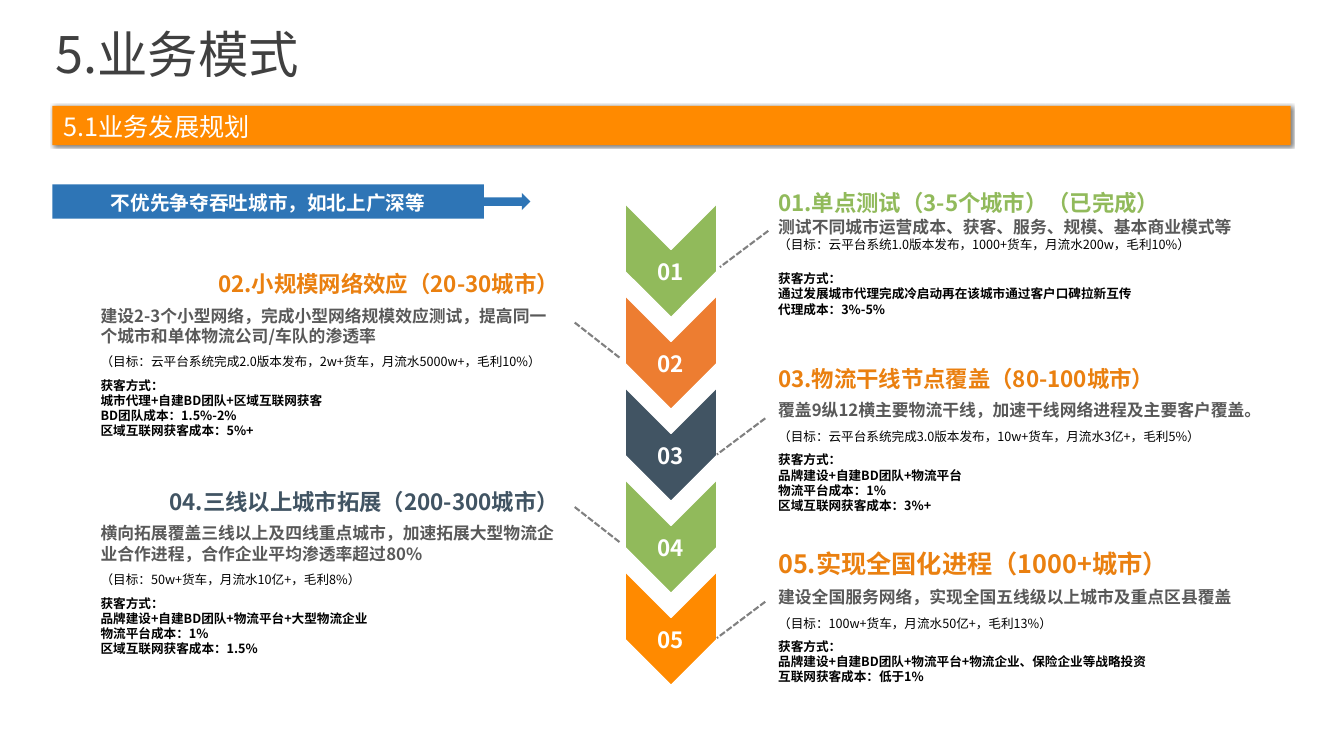
from dataclasses import dataclass

import pptx
import pptx.dml.color
import pptx.enum.dml
import pptx.enum.shapes
import pptx.enum.text
import pptx.oxml
import pptx.oxml.ns
import pptx.util
from lxml import etree

Inches = pptx.util.Inches
Pt = pptx.util.Pt
RGBColor = pptx.dml.color.RGBColor
Align = pptx.enum.text.PP_ALIGN
Preset = pptx.enum.shapes.MSO_SHAPE
qn = pptx.oxml.ns.qn

FONT = "Noto Sans CJK SC"
WHITE = RGBColor(0xFF, 0xFF, 0xFF)
BLACK = RGBColor(0x00, 0x00, 0x00)
CHARCOAL = RGBColor(0x40, 0x40, 0x40)
DARK_GRAY = RGBColor(0x59, 0x59, 0x59)
LINE_GRAY = RGBColor(0x80, 0x80, 0x80)
ORANGE = RGBColor(0xFF, 0x8A, 0x00)
AMBER = RGBColor(0xEA, 0x80, 0x10)
RUST = RGBColor(0xED, 0x7D, 0x31)
GREEN = RGBColor(0x91, 0xBA, 0x5B)
SLATE = RGBColor(0x41, 0x54, 0x63)
BLUE = RGBColor(0x2E, 0x75, 0xB6)


@dataclass
class Line:
    text: str
    size: float
    color: RGBColor
    bold: bool = False
    align: Align = Align.LEFT
    before: float = 0
    after: float = 0
    spacing: float = 1.0


@dataclass
class Stage:
    heading: str
    summary: str
    target: str
    channels: list[str]
    color: RGBColor
    arrow_color: RGBColor
    box: tuple[float, float, float, float]
    leader: tuple[float, float, float, float]
    size: float = 16
    align: Align = Align.LEFT
    gap: float = 6
    channel_gap: float = 0


STAGES = [
    Stage("单点测试（3-5个城市）（已完成）",
          "测试不同城市运营成本、获客、服务、规模、基本商业模式等",
          "（目标：云平台系统1.0版本发布，1000+货车，月流水200w，毛利10%）",
          ["通过发展城市代理完成冷启动再在该城市通过客户口碑拉新互传", "代理成本：3%-5%"],
          GREEN, GREEN, (7.62, 1.83, 4.92, 1.43), (7.62, 2.29, 7.14, 2.65),
          gap=0, channel_gap=14),
    Stage("小规模网络效应（20-30城市）",
          "建设2-3个小型网络，完成小型网络规模效应测试，提高同一个城市和单体物流公司/车队的渗透率",
          "（目标：云平台系统完成2.0版本发布，2w+货车，月流水5000w+，毛利10%）",
          ["城市代理+自建BD团队+区域互联网获客", "BD团队成本：1.5%-2%", "区域互联网获客成本：5%+"],
          AMBER, RUST, (0.9, 2.63, 4.74, 1.78), (5.7, 3.2, 6.16, 3.56),
          align=Align.RIGHT),
    Stage("物流干线节点覆盖（80-100城市）",
          "覆盖9纵12横主要物流干线，加速干线网络进程及主要客户覆盖。",
          "（目标：云平台系统完成3.0版本发布，10w+货车，月流水3亿+，毛利5%）",
          ["品牌建设+自建BD团队+物流平台", "物流平台成本：1%", "区域互联网获客成本：3%+"],
          AMBER, SLATE, (7.62, 3.57, 4.93, 1.58), (7.59, 4.15, 7.11, 4.51)),
    Stage("三线以上城市拓展（200-300城市）",
          "横向拓展覆盖三线以上及四线重点城市，加速拓展大型物流企业合作进程，合作企业平均渗透率超过80%",
          "（目标：50w+货车，月流水10亿+，毛利8%）",
          ["品牌建设+自建BD团队+物流平台+大型物流企业", "物流平台成本：1%", "区域互联网获客成本：1.5%"],
          SLATE, GREEN, (0.9, 4.79, 4.74, 1.85), (5.7, 5.03, 6.16, 5.39),
          align=Align.RIGHT),
    Stage("实现全国化进程（1000+城市）",
          "建设全国服务网络，实现全国五线级以上城市及重点区县覆盖",
          "（目标：100w+货车，月流水50亿+，毛利13%）",
          ["品牌建设+自建BD团队+物流平台+物流企业、保险企业等战略投资", "互联网获客成本：低于1%"],
          AMBER, ORANGE, (7.62, 5.39, 4.93, 1.46), (7.59, 5.97, 7.11, 6.33), size=18),
]


def write(frame, lines: list[Line]) -> None:
    frame.word_wrap = True
    for index, line in enumerate(lines):
        paragraph = frame.paragraphs[0] if index == 0 else frame.add_paragraph()
        paragraph.alignment = line.align
        paragraph.space_before = Pt(line.before)
        paragraph.space_after = Pt(line.after)
        paragraph.line_spacing = line.spacing
        run = paragraph.add_run()
        run.text = line.text
        run.font.name = FONT
        run.font.size = Pt(line.size)
        run.font.bold = line.bold
        run.font.color.rgb = line.color
        east_asian = etree.SubElement(run.font._element, qn("a:ea"))
        east_asian.set("typeface", FONT)


def add_text(slide, box: tuple[float, float, float, float], lines: list[Line],
             inset: bool = True) -> None:
    frame = slide.shapes.add_textbox(*map(Inches, box)).text_frame
    frame.auto_size = pptx.enum.text.MSO_AUTO_SIZE.SHAPE_TO_FIT_TEXT
    if not inset:
        frame.margin_left = frame.margin_right = 0
        frame.margin_top = frame.margin_bottom = 0
    write(frame, lines)


def add_block(slide, preset: Preset, box: tuple[float, float, float, float],
              fill: RGBColor):
    block = slide.shapes.add_shape(preset, *map(Inches, box))
    block.shadow.inherit = False
    block.fill.solid()
    block.fill.fore_color.rgb = fill
    block.line.fill.background()
    return block


def add_leader(slide, ends: tuple[float, float, float, float]) -> None:
    leader = slide.shapes.add_connector(
        pptx.enum.shapes.MSO_CONNECTOR.STRAIGHT, *map(Inches, ends))
    leader.line.color.rgb = LINE_GRAY
    leader.line.width = Pt(1.5)
    leader.line.dash_style = pptx.enum.dml.MSO_LINE.SQUARE_DOT
    etree.SubElement(leader._element.spPr, qn("a:effectLst"))


def add_stage(slide, number: int, stage: Stage) -> None:
    # Chevron, rotated to point down, with its number
    top = 2.13 + 0.9125 * (number - 1)
    chevron = add_block(slide, Preset.CHEVRON, (6.09, top, 1.13, 0.91), stage.arrow_color)
    chevron.rotation = 90
    chevron.line.color.rgb = WHITE
    chevron.line.width = Pt(1)
    add_text(slide, (6.2, top + 0.38, 0.9, 0.39),
             [Line(f"{number:02}", 16, WHITE, True, Align.CENTER)])

    # Description and dashed leader
    lines = [
        Line(f"{number:02}.{stage.heading}", stage.size, stage.color, True,
             stage.align, after=stage.gap),
        Line(stage.summary, 12, DARK_GRAY, True, after=stage.gap),
        Line(stage.target, 9, BLACK, after=stage.gap),
        Line("获客方式：", 9, BLACK, True, before=stage.channel_gap),
    ]
    lines += [Line(channel, 9, BLACK, True) for channel in stage.channels]
    add_text(slide, stage.box, lines)
    add_leader(slide, stage.leader)


def main() -> None:
    deck = pptx.Presentation()
    deck.slide_width, deck.slide_height = Inches(13.33), Inches(7.5)
    slide = deck.slides.add_slide(deck.slide_layouts[6])

    # Title and section bar
    section_bar = add_block(slide, Preset.RECTANGLE, (0.52, 1.05, 12.28, 0.39), ORANGE)
    section_bar._element.spPr.find(qn("a:effectLst")).append(pptx.oxml.parse_xml(
        '<a:outerShdw xmlns:a="http://schemas.openxmlformats.org/drawingml/2006/main"'
        ' blurRad="25400" dist="12700" dir="2700000" algn="tl" rotWithShape="0">'
        '<a:srgbClr val="000000"><a:alpha val="50000"/></a:srgbClr></a:outerShdw>'))
    add_text(slide, (0.55, 0.35, 12.26, 0.49),
             [Line("5.业务模式", 36, CHARCOAL, spacing=0.8)], inset=False)
    add_text(slide, (0.63, 1.1, 11.69, 0.3),
             [Line("5.1业务发展规划", 18, WHITE)], inset=False)

    # Five stages, the last one at the back
    for number, stage in reversed(list(enumerate(STAGES, start=1))):
        add_stage(slide, number, stage)

    # Priority callout
    priority = add_block(slide, Preset.RIGHT_ARROW_CALLOUT, (0.52, 1.83, 4.74, 0.34), BLUE)
    for index, value in enumerate((0.25, 0.25, 0.25, 0.903)):
        priority.adjustments[index] = value
    priority.text_frame.vertical_anchor = pptx.enum.text.MSO_ANCHOR.MIDDLE
    write(priority.text_frame, [Line("不优先争夺吞吐城市，如北上广深等", 14, WHITE, True,
                                     Align.CENTER, spacing=1.1)])

    deck.save("out.pptx")


if __name__ == "__main__":
    main()
